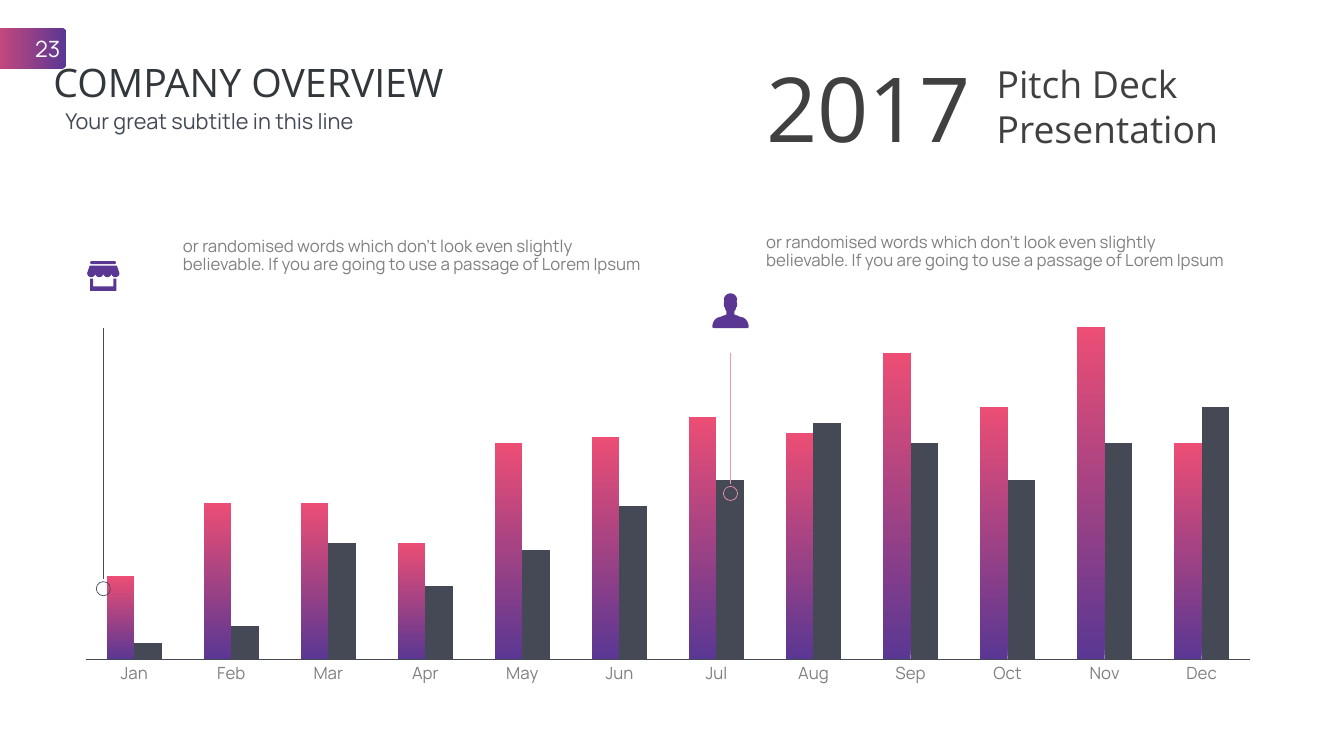
from math import cos, pi, sin

from lxml import etree
from pptx import Presentation
from pptx.chart.data import CategoryChartData
from pptx.dml.color import RGBColor
from pptx.enum.chart import XL_CHART_TYPE, XL_TICK_MARK
from pptx.enum.shapes import MSO_CONNECTOR, MSO_SHAPE
from pptx.enum.text import MSO_ANCHOR, MSO_AUTO_SIZE, PP_ALIGN
from pptx.oxml.ns import qn
from pptx.util import Inches, Pt

COLUMN = XL_CHART_TYPE.COLUMN_CLUSTERED
NO_TICK = XL_TICK_MARK.NONE
STRAIGHT = MSO_CONNECTOR.STRAIGHT
OVAL = MSO_SHAPE.OVAL
ROUND = MSO_SHAPE.ROUNDED_RECTANGLE
MIDDLE = MSO_ANCHOR.MIDDLE
GROW = MSO_AUTO_SIZE.SHAPE_TO_FIT_TEXT
LEFT, CENTER, RIGHT = PP_ALIGN.LEFT, PP_ALIGN.CENTER, PP_ALIGN.RIGHT

HUES = {"white": "FFFFFF", "plum": "5A3793", "rose": "EC4E75", "pink": "F495AC",
        "slate": "444955", "ink": "31373B", "dark": "404040", "gray": "808080"}
SANS, MAIN = "Open Sans", "Manrope"
MIL = Inches(1) / 1000
MONTHS = "Jan Feb Mar Apr May Jun Jul Aug Sep Oct Nov Dec".split()
SALES = {"Series 1": (25, 47, 47, 35, 65, 67, 73, 68, 92, 76, 100, 65),
         "Series 2": (5, 10, 35, 22, 33, 46, 54, 71, 65, 54, 65, 76)}
BLURB = ("or randomised words which don't look even slightly believable. "
         "If you are going to use a passage of Lorem Ipsum")


def hue(name):
    return RGBColor.from_string(HUES[name])


def apply(item, **vals):
    for key, val in vals.items():
        setattr(item, key, val)


def fill(part, name):
    part.fill.solid()
    part.fill.fore_color.rgb = hue(name)


def blend(part, angle):
    part.fill.gradient()
    part.fill.gradient_angle = angle
    for stop, name, spot in zip(part.fill.gradient_stops, ("plum", "rose"), (0, 1)):
        stop.color.rgb = hue(name)
        stop.position = spot


def stroke(line, name, width):
    line.color.rgb = hue(name)
    line.width = Pt(width)


def style(font, face, size, name):
    apply(font, name=face, size=Pt(size))
    font.color.rgb = hue(name)


def write(frame, lines, face, size, name, align=LEFT, pitch=None):
    for i, line in enumerate(lines):
        para = frame.add_paragraph() if i else frame.paragraphs[0]
        apply(para, text=line, alignment=align, line_spacing=pitch)
        style(para.runs[0].font, face, size, name)


def label(shapes, box, lines, face, size, name, pad=None, wrap=True, fit=None, **para):
    frame = shapes.add_textbox(*map(Inches, box)).text_frame
    apply(frame, word_wrap=wrap)
    if fit:
        apply(frame, auto_size=fit)
    if pad is not None:
        apply(frame, margin_left=Inches(pad[0]), margin_right=Inches(pad[0]),
              margin_top=Inches(pad[1]), margin_bottom=Inches(pad[1]))
    write(frame, lines, face, size, name, **para)


def disc(shapes, x, y, size):
    shape = shapes.add_shape(OVAL, *map(Inches, (x - size / 2, y - size / 2, size, size)))
    shape.shadow.inherit = False
    return shape


def arc(x, y, rad, start, end, steps=10):
    turns = [start + (end - start) * i / steps for i in range(steps + 1)]
    return [(x + rad * cos(t), y + rad * sin(t)) for t in turns]


def curve(start, parts, steps=6):
    pts = [start]
    for part in parts:
        if len(part) == 1:
            pts += part
            continue
        a, (b, c, d) = pts[-1], part
        for i in range(1, steps + 1):
            t = i / steps
            u = 1 - t
            pts.append(tuple(u**3 * a[k] + 3 * u * u * t * b[k] + 3 * u * t * t * c[k]
                             + t**3 * d[k] for k in (0, 1)))
    return pts


def shop():
    awning = [(50, 90), (590, 90)]
    for i in range(4):
        awning += arc(560 - 160 * i, 240, 80, 0, pi)
    roof = arc(90, 30, 30, pi / 2, 3 * pi / 2) + arc(540, 30, 30, -pi / 2, pi / 2)
    base = [(60, 350), (120, 350), (120, 500), (520, 500), (520, 350),
            (580, 350), (580, 590), (60, 590)]
    return awning, roof, base


def person():
    half = curve((360, 690), [
        [(30, 690)], [(20, 690), (0, 680), (0, 660)],
        [(0, 660), (0, 540), (90, 490)], [(140, 460), (130, 490), (200, 450)],
        [(260, 430), (280, 420), (280, 420)], [(280, 350)],
        [(280, 350), (250, 330), (250, 270)], [(230, 280), (230, 250), (230, 230)],
        [(230, 220), (220, 170), (240, 170)], [(230, 150), (230, 110), (230, 110)],
        [(240, 50), (290, 0), (360, 0)]])
    return [half + [(720 - x, y) for x, y in reversed(half)]]


def icon(shapes, x, y, paths):
    pen = shapes.build_freeform(*paths[0][0], scale=MIL)
    for i, pts in enumerate(paths):
        if i:
            pen.move_to(*pts[0])
        pen.add_line_segments(pts[1:], close=True)
    shape = pen.convert_to_shape(Inches(x), Inches(y))
    shape.shadow.inherit = False
    fill(shape, "plum")
    shape.line.fill.background()


def marker(shapes, x, top, base, name):
    line = shapes.add_connector(STRAIGHT, *map(Inches, (x, top, x, base)))
    stroke(line.line, name, 0.5)
    etree.SubElement(line.element.spPr, qn("a:effectLst"))
    ring = disc(shapes, x, base + 0.19, 0.28)
    ring.fill.background()
    stroke(ring.line, name, 1)


def graph(shapes, box):
    data = CategoryChartData()
    data.categories = MONTHS
    for name, vals in SALES.items():
        data.add_series(name, vals)
    chart = shapes.add_chart(COLUMN, *map(Inches, box), data).chart
    apply(chart, has_legend=False, has_title=False)
    style(chart.font, MAIN, 10, "ink")
    plot = chart.plots[0]
    apply(plot, gap_width=150, overlap=0, vary_by_categories=False)
    blend(plot.series[0].format, 90)
    fill(plot.series[1].format, "slate")
    months, scale = chart.category_axis, chart.value_axis
    apply(months, major_tick_mark=NO_TICK, minor_tick_mark=NO_TICK)
    style(months.tick_labels.font, MAIN, 24, "gray")
    stroke(months.format.line, "slate", 0.75)
    apply(scale, visible=False, has_major_gridlines=False,
          minimum_scale=0, maximum_scale=100)
    area = chart.element.find(".//" + qn("c:plotArea"))
    for old in area.findall(qn("c:layout")):
        area.remove(old)
    layout = etree.Element(qn("c:layout"))
    area.insert(0, layout)
    inner = etree.SubElement(layout, qn("c:manualLayout"))
    for tag, val in (("layoutTarget", "inner"), ("xMode", "edge"), ("yMode", "edge"),
                     ("x", "0.02"), ("y", "0.09"), ("w", "0.96"), ("h", "0.83")):
        etree.SubElement(inner, qn("c:" + tag)).set("val", val)


def header(shapes, x, y):
    label(shapes, (x, y, 11.74, 1.81), ["COMPANY OVERVIEW"], SANS, 56, "ink", pitch=0.9)
    label(shapes, (x, y + 0.7, 6.38, 0.82), ["Your great subtitle in this line"], MAIN, 31,
          "slate", pad=(0.24, 0.12), wrap=False, fit=GROW, align=CENTER, pitch=1.2)


def banner(shapes, x, y):
    label(shapes, (x, y, 4.57, 2.15), ["2017"], SANS, 128, "dark", pad=(0, 0), fit=GROW)
    label(shapes, (x + 4.57, y + 0.17, 4.76, 1.79), ["Pitch Deck", "Presentation"], SANS,
          53.3, "dark", pad=(0, 0), fit=GROW)


def note(shapes, x, y):
    label(shapes, (x, y, 9.35, 2.34), [BLURB], MAIN, 24, "gray", pitch=0.9)


def badge(shapes, box):
    shape = shapes.add_shape(ROUND, *map(Inches, box))
    shape.adjustments[0] = 0.11
    shape.shadow.inherit = False
    shape.line.fill.background()
    blend(shape, 180)
    shape.text_frame.vertical_anchor = MIDDLE
    write(shape.text_frame, ["23"], MAIN, 32, "white", align=RIGHT)


def main():
    deck = Presentation()
    apply(deck, slide_width=Inches(26.66), slide_height=Inches(15))
    shapes = deck.slides.add_slide(deck.slide_layouts[6]).shapes
    graph(shapes, (1.22, 5.77, 24.06, 7.95))
    header(shapes, 0.96, 1.21)
    note(shapes, 3.53, 4.67)
    marker(shapes, 2.05, 6.51, 11.49, "slate")
    icon(shapes, 1.73, 5.18, shop())
    marker(shapes, 14.49, 7, 9.6, "pink")
    plate = disc(shapes, 14.49, 6.16, 1.3)
    fill(plate, "white")
    plate.line.fill.background()
    icon(shapes, 14.13, 5.82, person())
    note(shapes, 15.1, 4.6)
    banner(shapes, 15.2, 1.05)
    badge(shapes, (-0.51, 0.56, 1.83, 0.8))
    deck.save("out.pptx")


if __name__ == "__main__":
    main()
